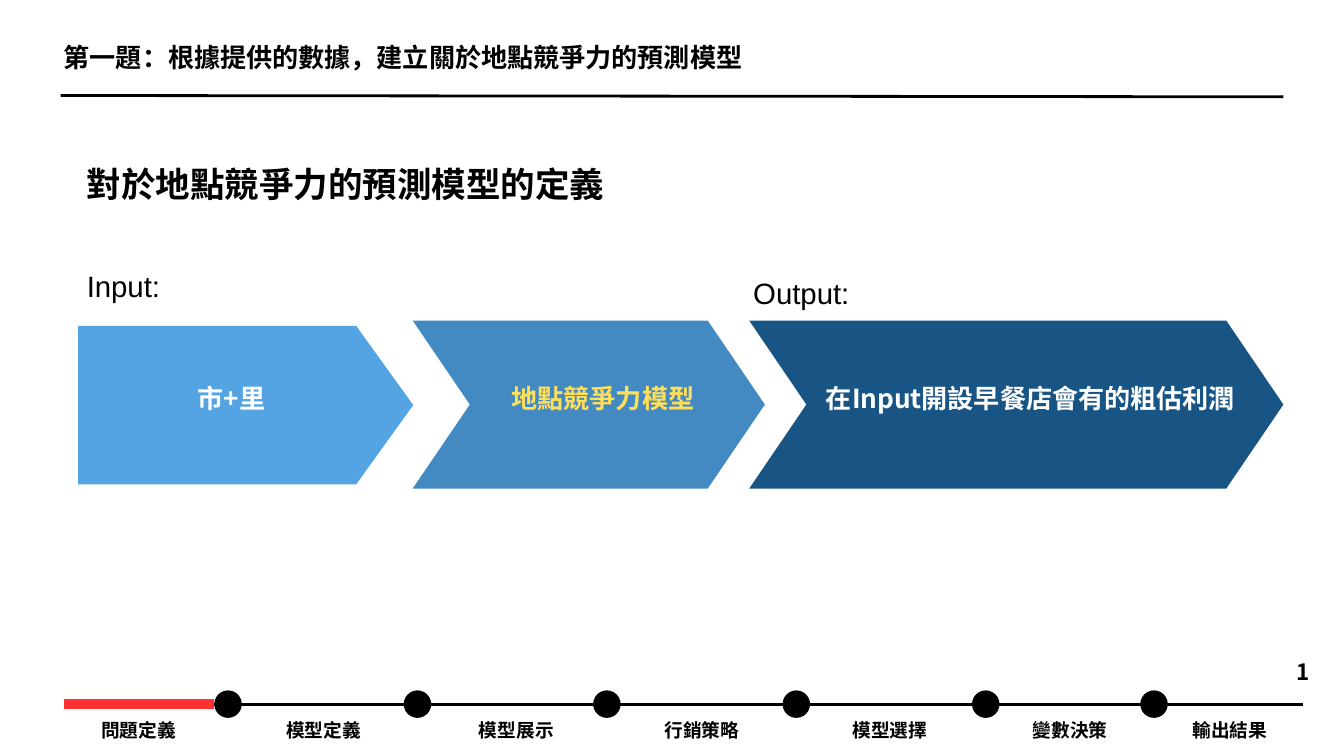
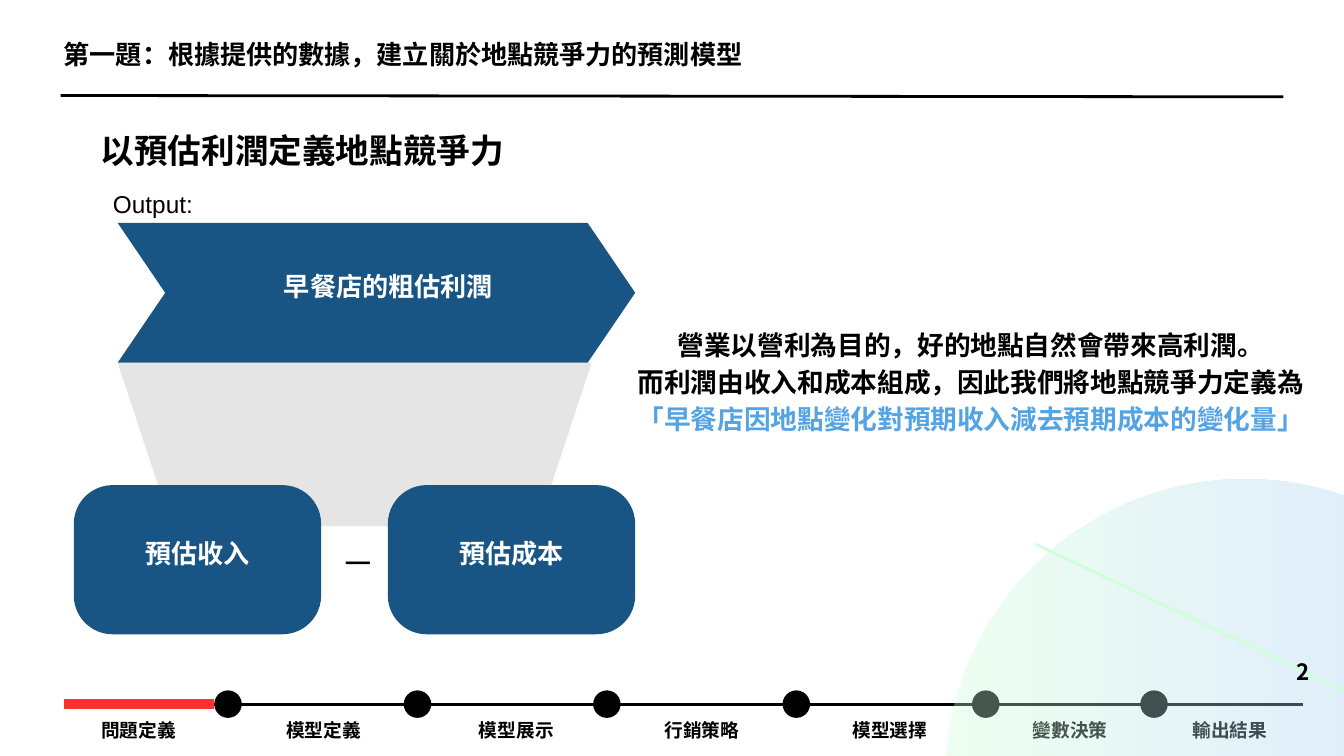
from lxml import etree
from pptx import Presentation
from pptx.dml.color import RGBColor
from pptx.enum import shapes, text
from pptx.oxml.ns import qn
from pptx.util import Cm, Pt

COLORS = {
    "black": "000000", "white": "FFFFFF", "red": "FF3131", "yellow": "FFDE59",
    "light": "54A4E4", "medium": "438AC2", "dark": "195584", "gray": "ADADAD",
    "mint": "CDFFD8", "sky": "94B9FF",
}
CJK, LATIN = "Noto Sans CJK JP", "Arial"
LINE_RATIO = 1.4
TITLE = "第一題：根據提供的數據，建立關於地點競爭力的預測模型"
STAGES = [
    ("問題定義", 2.79), ("模型定義", 9.78), ("模型展示", 17.07), ("行銷策略", 24.08),
    ("模型選擇", 31.19), ("變數決策", 38), ("輸出結果", 44.04),
]
DOT_LEFTS = [8.1 + 7.16 * index for index in range(5)] + [43.1]
DOT_SIZE, TRACK_Y = 1.04, 26.62

PENTAGON = shapes.MSO_SHAPE.PENTAGON
CHEVRON = shapes.MSO_SHAPE.CHEVRON
ROUNDED = shapes.MSO_SHAPE.ROUNDED_RECTANGLE
TRAPEZOID = shapes.MSO_SHAPE.TRAPEZOID
OVAL = shapes.MSO_SHAPE.OVAL

MODEL_STEPS = [
    (PENTAGON, (2.95, 12.32, 12.67, 5.99), 0.36, "light", "市+里", "white", 0),
    (CHEVRON, (15.6, 12.12, 13.31, 6.35), 0.34, "medium", "地點競爭力模型", "yellow", 1.07),
    (CHEVRON, (28.32, 12.12, 20.19, 6.35), 0.34, "dark", "在Input開設早餐店會有的粗估利潤", "white", 1.07),
]
PROFIT_PARTS = [
    (CHEVRON, (4.45, 8.43, 19.56, 5.28), 0.34, "dark", "早餐店的粗估利潤", "white", 0.9),
    (ROUNDED, (2.79, 18.34, 9.35, 5.64), 0.26, "dark", "預估收入", "white", 0),
    (ROUNDED, (14.66, 18.34, 9.35, 5.64), 0.26, "dark", "預估成本", "white", 0),
]
DEFINITION = [
    ("營業以營利為目的，好的地點自然會帶來高利潤。", "black"),
    ("而利潤由收入和成本組成，因此我們將地點競爭力定義為", "black"),
    ("「早餐店因地點變化對預期收入減去預期成本的變化量」", "light"),
]


def rgb(name):
    return RGBColor.from_string(COLORS[name])


def write(frame, lines, size, font=CJK, center=False, insets=(0, 0, 0, 0), wrap=True):
    frame.word_wrap = wrap
    frame.auto_size = text.MSO_AUTO_SIZE.NONE
    frame.margin_left, frame.margin_top, frame.margin_right, frame.margin_bottom = map(Cm, insets)
    for index, (line, color) in enumerate(lines):
        paragraph = frame.add_paragraph() if index else frame.paragraphs[0]
        paragraph.text = line
        paragraph.alignment = text.PP_ALIGN.CENTER if center else text.PP_ALIGN.LEFT
        paragraph.line_spacing = Pt(round(size * LINE_RATIO, 1))
        paragraph.space_before = Pt(0)
        paragraph.font.size = Pt(size)
        paragraph.font.bold = font == CJK
        paragraph.font.color.rgb = rgb(color)
        paragraph.font.name = font
        properties = paragraph._p.pPr.find(qn("a:defRPr"))
        etree.SubElement(properties, qn("a:ea")).set("typeface", font)


def add_text(slide, box, line, size, **style):
    frame = slide.shapes.add_textbox(*map(Cm, box)).text_frame
    write(frame, [(line, "black")], size, **style)


def add_line(slide, start, end, color="black", width=3):
    line = slide.shapes.add_connector(
        shapes.MSO_CONNECTOR.STRAIGHT, *map(Cm, start + end))
    line.line.color.rgb = rgb(color)
    line.line.width = Pt(width)
    etree.SubElement(line._element.spPr, qn("a:effectLst"))


def add_filled(slide, kind, box, color, adjustment=None):
    shape = slide.shapes.add_shape(kind, *map(Cm, box))
    shape.shadow.inherit = False
    shape.line.fill.background()
    shape.fill.solid()
    shape.fill.fore_color.rgb = rgb(color)
    if adjustment is not None:
        shape.adjustments[0] = adjustment
    return shape


def set_opacity(shape, percent):
    for color in shape._element.spPr.iter(qn("a:srgbClr")):
        etree.SubElement(color, qn("a:alpha")).set("val", str(percent * 1000))


def add_blocks(slide, blocks):
    for kind, box, adjustment, fill, label, color, left_inset in blocks:
        shape = add_filled(slide, kind, box, fill, adjustment)
        shape.text_frame.vertical_anchor = text.MSO_ANCHOR.MIDDLE
        write(shape.text_frame, [(label, color)], 28, center=True,
              insets=(left_inset, 0, 0, 0.7), wrap=False)


def add_base_slide(presentation, title_top):
    slide = presentation.slides.add_slide(presentation.slide_layouts[5])
    title = slide.shapes.title
    title.left, title.top, title.width, title.height = map(Cm, (2.41, title_top, 42.34, 1.37))
    title.text_frame.vertical_anchor = text.MSO_ANCHOR.TOP
    write(title.text_frame, [(TITLE, "black")], 28)
    add_line(slide, (2.29, 3.61), (48.51, 3.66))
    add_line(slide, (2.67, TRACK_Y), (49.25, TRACK_Y))
    add_line(slide, (2.41, TRACK_Y), (DOT_LEFTS[0], TRACK_Y), "red", 10.5)
    for left in DOT_LEFTS:
        add_filled(slide, OVAL, (left, TRACK_Y - DOT_SIZE / 2, DOT_SIZE, DOT_SIZE), "black")
    for label, left in STAGES:
        add_text(slide, (left, 27.05, 4.9, 0.94), label, 20, center=True)
    return slide


def add_page_number(slide, number):
    add_text(slide, (49, 24.71, 0.5, 1.14), str(number), 24, center=True, wrap=False)


def add_model_slide(presentation):
    slide = add_base_slide(presentation, 1.37)
    add_text(slide, (3.28, 5.92, 42.34, 1.78), "對於地點競爭力的預測模型的定義", 37)
    add_blocks(slide, MODEL_STEPS)
    add_text(slide, (3.28, 9.93, 8.43, 1.47), "Input:", 31.5, font=LATIN)
    add_text(slide, (28.47, 10.19, 8.43, 1.47), "Output:", 31.5, font=LATIN)
    add_page_number(slide, 1)


def add_profit_slide(presentation):
    slide = add_base_slide(presentation, 1.24)
    add_text(slide, (3.81, 4.67, 42.34, 1.73), "以預估利潤定義地點競爭力", 36)
    funnel = add_filled(slide, TRAPEZOID, (4.45, 13.72, 17.91, 6.17), "gray", 0.33)
    funnel.rotation = 180
    set_opacity(funnel, 31)
    add_blocks(slide, PROFIT_PARTS)
    add_text(slide, (4.27, 6.96, 12.8, 1.22), "Output:", 26.1, font=LATIN)
    add_text(slide, (8.89, 20.29, 9.32, 1.57), "ㄧ", 34.2, font=LATIN, center=True)
    definition = slide.shapes.add_textbox(*map(Cm, (23.57, 12.22, 26.24, 5.21)))
    write(definition.text_frame, DEFINITION, 28.6, center=True)
    circle = add_filled(slide, OVAL, (35.71, 18.11, 22.71, 22.76), "mint")
    circle.fill.gradient()
    circle.fill.gradient_angle = 0
    for stop, color, position in zip(circle.fill.gradient_stops, ("mint", "sky"), (0, 1)):
        stop.color.rgb = rgb(color)
        stop.position = position
    set_opacity(circle, 35)
    add_line(slide, (39.14, 20.57), (55.91, 28.52), "mint")
    add_page_number(slide, 2)


def main():
    presentation = Presentation()
    presentation.slide_width, presentation.slide_height = Cm(50.8), Cm(28.58)
    add_model_slide(presentation)
    add_profit_slide(presentation)
    presentation.save("out.pptx")


if __name__ == "__main__":
    main()
